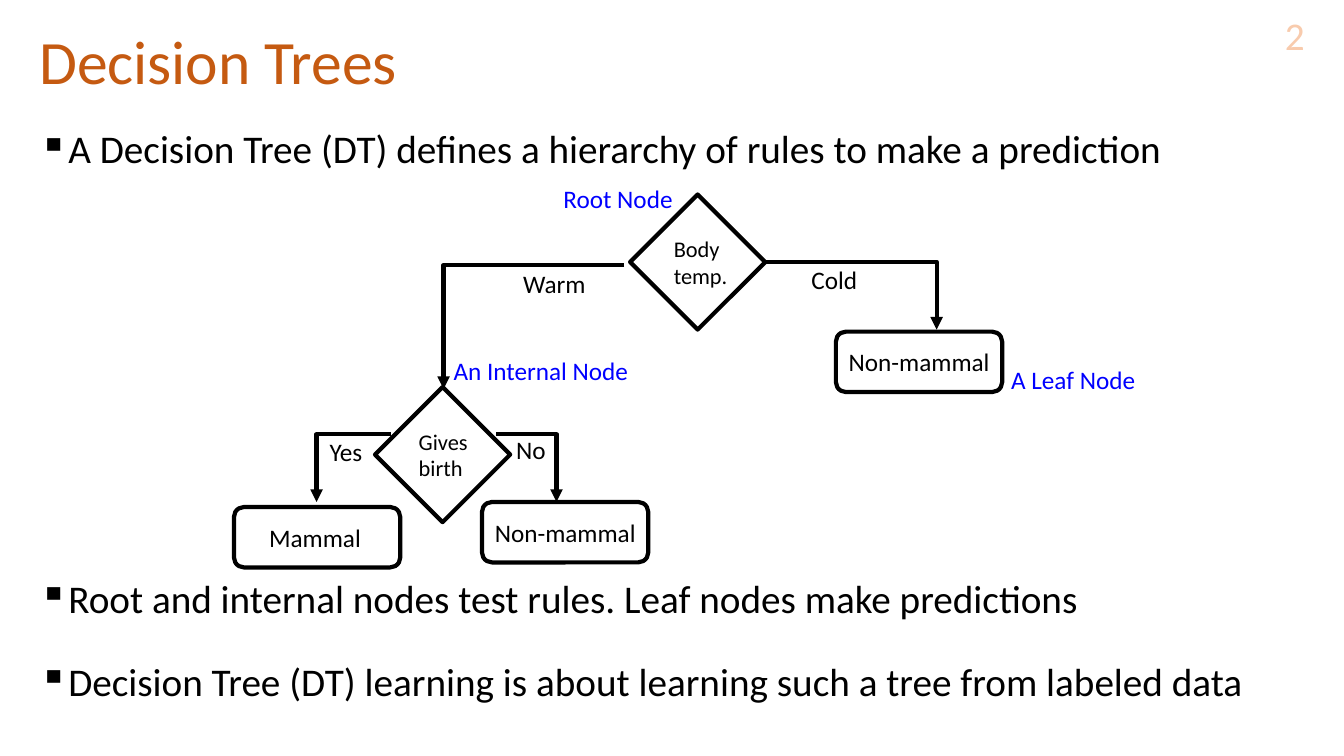
from typing import NamedTuple

from lxml import etree
from pptx import Presentation
from pptx import util as u
from pptx.dml import color
from pptx.enum import shapes, text
from pptx.oxml import ns

FONT = "Calibri"
BLACK, WHITE, BLUE = "000000", "FFFFFF", "0000FF"
ORANGE, PEACH = "C55A11", "F8CBAD"
LINE_WIDTH = 3
DIAMOND, LEAF = (1.34, 1.34), (1.65, 0.6)


class Node(NamedTuple):
    text: str
    left: float
    top: float
    is_leaf: bool = True
    inset: float = 0.1


class Branch(NamedTuple):
    x1: float
    y1: float
    x2: float
    y2: float


class Label(NamedTuple):
    text: str
    left: float
    top: float
    width: float
    color: str = BLACK


class Bullet(NamedTuple):
    text: str
    space_before: float


NODES = [
    Node("Body\ntemp.", 6.25, 1.93, is_leaf=False),
    Node("Gives\nbirth", 3.72, 3.84, is_leaf=False),
    Node("Non-mammal", 8.29, 3.29),
    Node("Non-mammal", 4.78, 4.98),
    Node("Mammal", 2.32, 5.03, inset=0.32),
]
BRANCHES = [
    Branch(7.59, 2.6, 9.29, 3.27),
    Branch(6.19, 2.63, 4.4, 3.86),
    Branch(3.88, 4.31, 3.14, 4.98),
    Branch(4.92, 4.31, 5.52, 4.98),
]
LABELS = [
    Label("Cold", 7.95, 2.57, 0.66),
    Label("Warm", 5.09, 2.61, 0.83),
    Label("Yes", 3.17, 4.28, 0.53),
    Label("No", 5.02, 4.26, 0.5),
    Label("Root Node", 5.49, 1.77, 1.3, BLUE),
    Label("An Internal Node", 4.4, 3.48, 1.95, BLUE),
    Label("A Leaf Node", 9.93, 3.57, 1.45, BLUE),
]
BULLETS = [
    Bullet("A Decision Tree (DT) defines a hierarchy of rules to make a prediction", 0),
    Bullet("Root and internal nodes test rules. Leaf nodes make predictions", 291),
    Bullet("Decision Tree (DT) learning is about learning such a tree from labeled data", 29),
]


def rgb(value: str) -> color.RGBColor:
    return color.RGBColor.from_string(value)


def write(tf, content: str, size: float, font_color: str) -> None:
    """Fill a text frame, one paragraph per line of content."""
    tf.text = content
    for p in tf.paragraphs:
        p.alignment = text.PP_ALIGN.LEFT
        for r in p.runs:
            r.font.name = FONT
            r.font.size = u.Pt(size)
            r.font.color.rgb = rgb(font_color)


def add_text(s, content: str, box: tuple, size: float, font_color: str,
             anchor=text.MSO_ANCHOR.TOP, wrap: bool = True):
    tf = s.shapes.add_textbox(*map(u.Inches, box)).text_frame
    tf.word_wrap = wrap
    tf.vertical_anchor = anchor
    write(tf, content, size, font_color)
    return tf


def add_bullets(s, bullets: list[Bullet]) -> None:
    content = "\n".join(b.text for b in bullets)
    tf = add_text(s, content, (0.29, 1.24, 12.84, 6.08), 28, BLACK)
    for p, bullet in zip(tf.paragraphs, bullets):
        p.line_spacing = 0.9
        p.space_before = u.Pt(bullet.space_before)
        pPr = p._p.get_or_add_pPr()
        pPr.set("marL", str(u.Inches(0.25)))
        pPr.set("indent", str(u.Inches(-0.25)))
        etree.SubElement(pPr, ns.qn("a:buChar")).set("char", "▪")


def add_branch(s, branch: Branch) -> None:
    """Draw an arrow that runs sideways, then down."""
    sp = s.shapes.add_connector(shapes.MSO_CONNECTOR.ELBOW, *map(u.Inches, branch))
    sp.line.color.rgb = rgb(BLACK)
    sp.line.width = u.Pt(LINE_WIDTH)
    spPr = sp._element.spPr
    spPr.find(ns.qn("a:prstGeom")).set("prst", "bentConnector2")
    ln = spPr.find(ns.qn("a:ln"))
    etree.SubElement(ln, ns.qn("a:tailEnd")).set("type", "triangle")
    etree.SubElement(spPr, ns.qn("a:effectLst"))


def add_node(s, node: Node) -> None:
    kind = shapes.MSO_SHAPE.ROUNDED_RECTANGLE if node.is_leaf else shapes.MSO_SHAPE.DIAMOND
    size = LEAF if node.is_leaf else DIAMOND
    sp = s.shapes.add_shape(kind, *map(u.Inches, (node.left, node.top, *size)))
    sp.shadow.inherit = False
    sp.fill.solid()
    sp.fill.fore_color.rgb = rgb(WHITE)
    sp.line.color.rgb = rgb(BLACK)
    sp.line.width = u.Pt(LINE_WIDTH)
    tf = sp.text_frame
    tf.word_wrap = False
    tf.vertical_anchor = text.MSO_ANCHOR.MIDDLE
    tf.margin_left = u.Inches(node.inset)
    write(tf, node.text, 18 if node.is_leaf else 16, BLACK)


def add_label(s, label: Label) -> None:
    box = (label.left, label.top, label.width, 0.4)
    tf = add_text(s, label.text, box, 18, label.color, wrap=False)
    tf.auto_size = text.MSO_AUTO_SIZE.SHAPE_TO_FIT_TEXT


def main() -> None:
    prs = Presentation()
    prs.slide_width, prs.slide_height = u.Inches(13.33), u.Inches(7.5)
    s = prs.slides.add_slide(prs.slide_layouts[6])

    middle = text.MSO_ANCHOR.MIDDLE
    title = add_text(s, "Decision Trees", (0.29, 0.19, 12.84, 0.9), 44, ORANGE, middle)
    title.paragraphs[0].line_spacing = 0.9
    number = add_text(s, "2", (12.38, 0.15, 0.66, 0.4), 28, PEACH, middle)
    number.paragraphs[0].alignment = text.PP_ALIGN.RIGHT
    add_bullets(s, BULLETS)

    for branch in BRANCHES:
        add_branch(s, branch)
    for node in NODES:
        add_node(s, node)
    for label in LABELS:
        add_label(s, label)

    prs.save("out.pptx")


if __name__ == "__main__":
    main()
